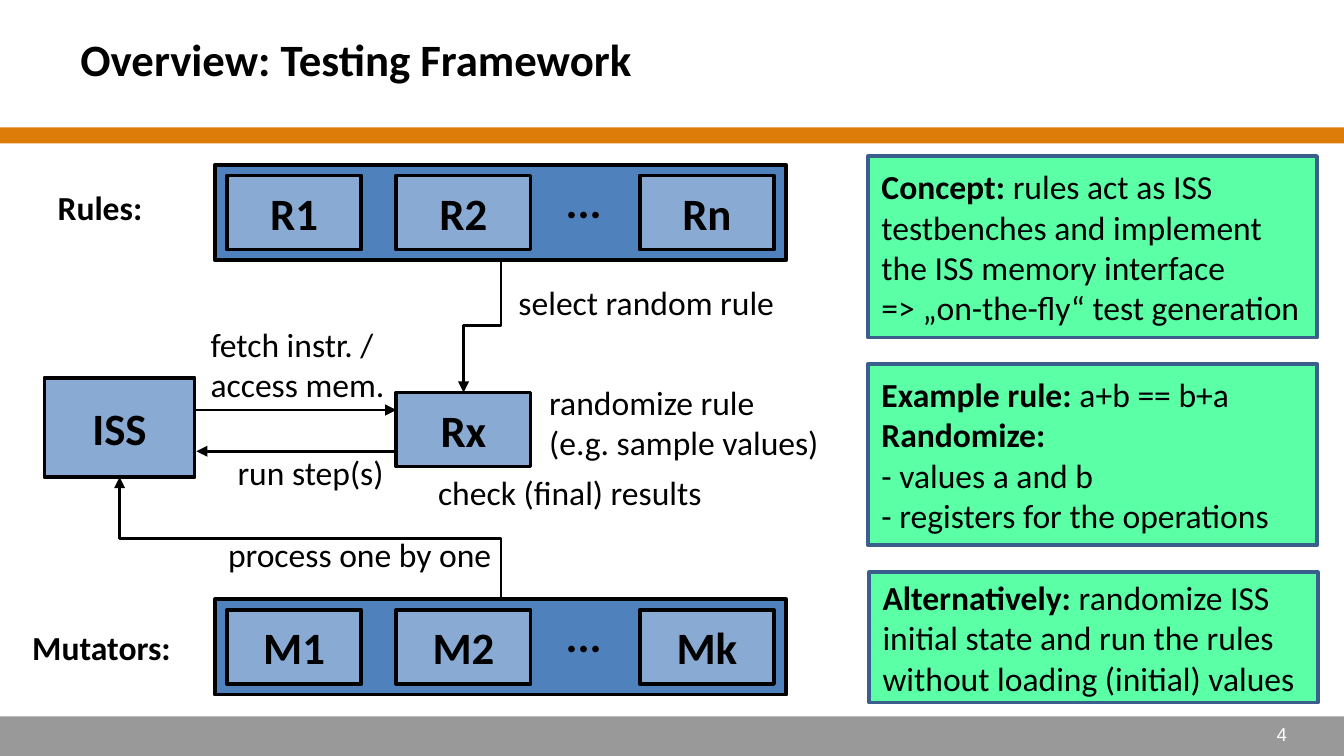
import pptx
import pptx.util
import pptx.dml.color
import pptx.enum.shapes
import pptx.enum.text
import pptx.oxml.ns
import lxml.etree

Cm, Pt = pptx.util.Cm, pptx.util.Pt
KIND = pptx.enum.shapes.MSO_CONNECTOR
ANCHOR = pptx.enum.text.MSO_ANCHOR
ALIGN = pptx.enum.text.PP_ALIGN
qn = pptx.oxml.ns.qn

BLACK, WHITE, ORANGE = "000000", "FFFFFF", "DE7C0A"
BLUE, PALE, GREEN, NAVY = "4F81BD", "89AAD3", "5BFFA5", "3A5F8C"

TITLE = "Overview: Testing Framework"
ROWS = [(3.12, ["R1", "R2", "Rn"]), (11.33, ["M1", "M2", "Mk"])]
COLS = [4.29, 7.49, 12.09]
NODES = [("ISS", 0.84, 7.14, 2.84, 1.88), ("Rx", 7.49, 7.42, 2.54, 1.4)]
LABELS = [
    (0.84, 3.4, 2.13, 1.02, True, ["Rules:"]),
    (0.36, 11.73, 3.15, 1.02, True, ["Mutators:"]),
    (9.55, 5.21, 5.41, 1.02, False, ["select random rule"]),
    (10.13, 7.09, 5.89, 1.8, False, ["randomize rule", "(e.g. sample values)"]),
    (4.24, 8.41, 3.3, 1.02, False, ["run step(s)"]),
    (3.73, 5.99, 3.84, 1.8, False, ["fetch instr. /", "access mem."]),
    (8.03, 8.79, 5.56, 1.02, False, ["check (final) results"]),
    (4.06, 9.96, 5.56, 1.02, False, ["process one by one"]),
]
ARROWS = [((3.71, 7.75), (7.49, 7.75)), ((7.49, 8.53), (3.71, 8.53))]
ELBOWS = [((9.47, 4.9), (8.76, 7.42)), ((9.47, 11.33), (2.26, 9.02))]
NOTES = [
    (16.41, 2.95, 3.43, [
        [("Concept: ", True),
         ("rules act as ISS testbenches and implement the ISS memory interface", False)],
        [("=> „on-the-fly“ test generation", False)]]),
    (16.41, 6.88, 3.43, [
        [("Example rule: ", True), ("a+b == b+a", False)],
        [("Randomize:", True)],
        [("- values a and b", False)],
        [("- registers for the operations", False)]]),
    (16.43, 10.82, 2.46, [
        [("Alternatively: ", True),
         ("randomize ISS initial state and run the rules without loading (initial) values", False)]]),
]

deck = pptx.Presentation()
deck.slide_width, deck.slide_height = Cm(25.4), Cm(14.29)
slide = deck.slides.add_slide(deck.slide_layouts[6])
shapes = slide.shapes


def color(code):
    return pptx.dml.color.RGBColor.from_string(code)


def write(shape, paras, size, align=ALIGN.LEFT, ink=BLACK, font="Calibri"):
    frame = shape.text_frame
    for i, runs in enumerate(paras):
        para = frame.add_paragraph() if i else frame.paragraphs[0]
        para.alignment = align
        for text, bold in runs:
            run = para.add_run()
            run.text = text
            run.font.size, run.font.bold, run.font.name = Pt(size), bold, font
            run.font.color.rgb = color(ink)


def rect(x, y, w, h, fill, line=None):
    shape = shapes.add_shape(pptx.enum.shapes.MSO_SHAPE.RECTANGLE, Cm(x), Cm(y), Cm(w), Cm(h))
    shape.shadow.inherit = False
    shape.fill.solid()
    shape.fill.fore_color.rgb = color(fill)
    if line:
        shape.line.color.rgb = color(line)
        shape.line.width = Pt(2)
    else:
        shape.line.fill.background()
    shape.text_frame.word_wrap = True
    shape.text_frame.vertical_anchor = ANCHOR.MIDDLE
    return shape


def node(text, x, y, w, h):
    write(rect(x, y, w, h, PALE, BLACK), [[(text, True)]], 24, ALIGN.CENTER)


def label(x, y, w, h, paras, size, **style):
    box = shapes.add_textbox(Cm(x), Cm(y), Cm(w), Cm(h))
    box.text_frame.word_wrap = False
    box.text_frame.auto_size = pptx.enum.text.MSO_AUTO_SIZE.SHAPE_TO_FIT_TEXT
    write(box, paras, size, **style)


def arrow(kind, start, end):
    link = shapes.add_connector(kind, *(Cm(v) for v in start + end))
    link.line.color.rgb = color(BLACK)
    link.line.width = Pt(1.5)
    props = link._element.spPr
    tail = lxml.etree.SubElement(props.find(qn("a:ln")), qn("a:tailEnd"))
    tail.set("type", "triangle")
    lxml.etree.SubElement(props, qn("a:effectLst"))
    return link


def elbow(start, end):
    turn = 1 if end[1] > start[1] else -1
    mx, my = ((a + b) / 2 for a, b in zip(start, end))
    flat = [(mx + turn * (y - my), my - turn * (x - mx)) for x, y in (start, end)]
    link = arrow(KIND.ELBOW, *flat)
    link._element.spPr.find(qn("a:xfrm")).set("rot", str(turn % 4 * 5400000))


foot = rect(0, 13.54, 25.4, 0.75, BLACK)
tint = foot._element.spPr.find(qn("a:solidFill"))[0]
lxml.etree.SubElement(tint, qn("a:alpha")).set("val", "40000")
label(23.88, 13.54, 1.22, 0.69, [[("4", False)]], 10, ink=WHITE, font="Arial")
rect(0, 2.41, 25.4, 0.3, ORANGE)

head = shapes.add_textbox(Cm(1.27), Cm(0.53), Cm(22.86), Cm(1.17))
head.text_frame.word_wrap = True
head.text_frame.vertical_anchor = ANCHOR.MIDDLE
write(head, [[(TITLE, True)]], 24)

for top, names in ROWS:
    rect(4.06, top, 10.8, 1.8, BLUE, BLACK)
    for x, name in zip(COLS, names):
        node(name, x, top + 0.2, 2.54, 1.4)
    label(10.44, top + 0.04, 1.19, 1.27, [[("...", True)]], 24)

for item in NODES:
    node(*item)
for start, end in ARROWS:
    arrow(KIND.STRAIGHT, start, end)
for start, end in ELBOWS:
    elbow(start, end)
for x, y, w, h, bold, lines in LABELS:
    label(x, y, w, h, [[(line, bold)] for line in lines], 18)
for x, y, h, paras in NOTES:
    write(rect(x, y, 8.48, h, GREEN, NAVY), paras, 18)

deck.save("out.pptx")
